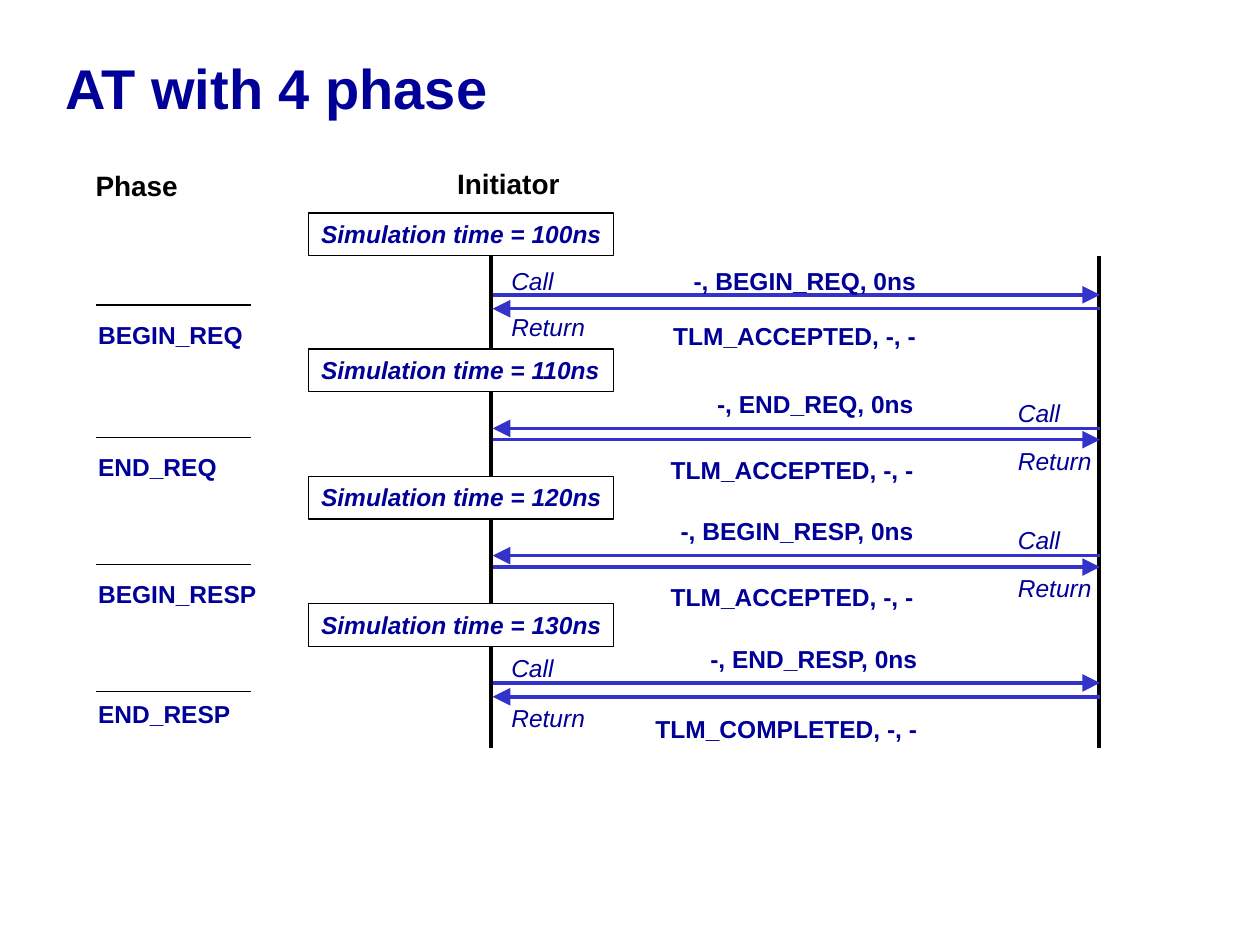
from dataclasses import dataclass

from lxml.etree import SubElement
from pptx import Presentation
from pptx.dml.color import RGBColor
from pptx.enum.shapes import MSO_CONNECTOR as Connector, MSO_SHAPE as Shape
from pptx.enum.text import MSO_ANCHOR as Anchor, MSO_AUTO_SIZE as AutoSize, PP_ALIGN as Align
from pptx.oxml.ns import qn
from pptx.util import Inches, Pt


@dataclass(frozen=True)
class Theme:
    font: str = "Arial"
    navy: RGBColor = RGBColor(0x00, 0x00, 0x99)
    arrow: RGBColor = RGBColor(0x33, 0x33, 0xCC)
    black: RGBColor = RGBColor(0x00, 0x00, 0x00)
    white: RGBColor = RGBColor(0xFF, 0xFF, 0xFF)
    title: int = 32
    heading: int = 16
    label: int = 14
    thin: float = 0.75
    arrow_width: float = 2
    lifeline: float = 2.25


@dataclass(frozen=True)
class Exchange:
    time: str
    top: float
    phase: str
    phase_width: float
    call: str
    call_width: float
    reply: str = "TLM_ACCEPTED, -, -"
    reply_width: float = 2.13
    message_right: float = 7.35
    from_initiator: bool = False
    filled: bool = True
    call_arrow: float = 0.63
    return_arrow: float = 0.72
    call_text: float = 0.27
    reply_text: float = 0.79
    call_label: float = 0.34
    return_label: float = 0.72
    rule: float = 0.7
    phase_text: float = 0.77


THEME = Theme()
INITIATOR_X, TARGET_X = 3.91, 8.73
LABEL_HEIGHT = 0.34
EXCHANGES = [
    Exchange("100ns", 1.69, "BEGIN_REQ", 1.35, "-, BEGIN_REQ, 0ns", 1.96,
             message_right=7.37, from_initiator=True, filled=False,
             call_arrow=0.65, return_arrow=0.76, call_text=0.37, reply_text=0.81,
             call_label=0.37, return_label=0.74, rule=0.73, phase_text=0.8),
    Exchange("110ns", 2.77, "END_REQ", 1.14, "-, END_REQ, 0ns", 1.76),
    Exchange("120ns", 3.78, "BEGIN_RESP", 1.45, "-, BEGIN_RESP, 0ns", 2.07),
    Exchange("130ns", 4.79, "END_RESP", 1.25, "-, END_RESP, 0ns", 1.87,
             "TLM_COMPLETED, -, -", 2.28, message_right=7.38, from_initiator=True,
             return_arrow=0.74, reply_text=0.83, return_label=0.74, phase_text=0.71),
]


def apply_format(target, values):
    for name, value in values.items():
        setattr(target, name, value)


def write_text(box, text, size=THEME.label, color=THEME.navy, bold=False, italic=False,
               align=Align.LEFT):
    near, far = Inches(0.1), Inches(0)
    left, right = (far, near) if align == Align.RIGHT else (near, far)
    apply_format(box.text_frame, {
        "word_wrap": False, "auto_size": AutoSize.NONE, "vertical_anchor": Anchor.TOP,
        "margin_left": left, "margin_right": right,
        "margin_top": Inches(0.05), "margin_bottom": Inches(0.05),
    })
    para = box.text_frame.paragraphs[0]
    para.alignment = align
    span = para.add_run()
    span.text = text
    apply_format(span.font, {"name": THEME.font, "size": Pt(size), "bold": bold, "italic": italic})
    span.font.color.rgb = color


def add_label(page, left, top, width, text, height=LABEL_HEIGHT, **style):
    box = page.shapes.add_textbox(Inches(left), Inches(top), Inches(width), Inches(height))
    write_text(box, text, **style)
    return box


def add_title(page, text):
    box = add_label(page, 0.42, 0.3, 9, text, height=0.87, size=THEME.title, bold=True)
    apply_format(box.text_frame, {"word_wrap": True, "vertical_anchor": Anchor.MIDDLE})
    box.text_frame.paragraphs[0].line_spacing = 0.85


def add_time_box(page, exchange):
    box = page.shapes.add_shape(Shape.RECTANGLE, Inches(2.45), Inches(exchange.top),
                                Inches(2.42), Inches(LABEL_HEIGHT))
    box.shadow.inherit = False
    if exchange.filled:
        box.fill.solid()
        box.fill.fore_color.rgb = THEME.white
    else:
        box.fill.background()
    box.line.color.rgb = THEME.black
    box.line.width = Pt(THEME.thin)
    write_text(box, f"Simulation time = {exchange.time}", bold=True, italic=True)
    box.text_frame.word_wrap = True


def add_line(page, start, end, color, width):
    line = page.shapes.add_connector(Connector.STRAIGHT, *map(Inches, start + end))
    line.line.color.rgb = color
    line.line.width = Pt(width)
    SubElement(line._element.spPr, qn("a:effectLst"))
    return line


def add_arrow(page, start_x, end_x, y):
    arrow = add_line(page, (start_x, y), (end_x, y), THEME.arrow, THEME.arrow_width)
    SubElement(arrow.line._get_or_add_ln(), qn("a:tailEnd"), type="triangle", w="lg", len="lg")


def add_message(page, right, top, width, text):
    add_label(page, right - width, top, width, text, bold=True, align=Align.RIGHT)


def add_exchange(page, exchange):
    top, right = exchange.top, exchange.message_right
    caller, callee = INITIATOR_X, TARGET_X
    label_left = 3.96
    if not exchange.from_initiator:
        caller, callee = callee, caller
        label_left = 7.98
    add_arrow(page, caller, callee, top + exchange.call_arrow)
    add_arrow(page, callee, caller, top + exchange.return_arrow)
    add_message(page, right, top + exchange.call_text, exchange.call_width, exchange.call)
    add_message(page, right, top + exchange.reply_text, exchange.reply_width, exchange.reply)
    add_label(page, label_left, top + exchange.call_label, 0.53, "Call", italic=True)
    add_label(page, label_left, top + exchange.return_label, 0.78, "Return", italic=True)
    rule_y = top + exchange.rule
    add_line(page, (1.99, rule_y), (0.76, rule_y), THEME.black, THEME.thin)
    add_label(page, 0.68, top + exchange.phase_text, exchange.phase_width, exchange.phase, bold=True)
    add_time_box(page, exchange)


def main():
    deck = Presentation()
    apply_format(deck, {"slide_width": Inches(10), "slide_height": Inches(7.5)})
    page = deck.slides.add_slide(deck.slide_layouts[6])
    add_title(page, "AT with 4 phase")
    for x in (8.72, 3.9):
        add_line(page, (x, 2.03), (x, 5.94), THEME.black, THEME.lifeline)
    heading = {"height": 0.37, "size": THEME.heading, "color": THEME.black, "bold": True}
    add_label(page, 3.53, 1.27, 1.01, "Initiator", **heading)
    add_label(page, 0.66, 1.29, 0.85, "Phase", **heading)
    for exchange in EXCHANGES:
        add_exchange(page, exchange)
    deck.save("out.pptx")


if __name__ == "__main__":
    main()
